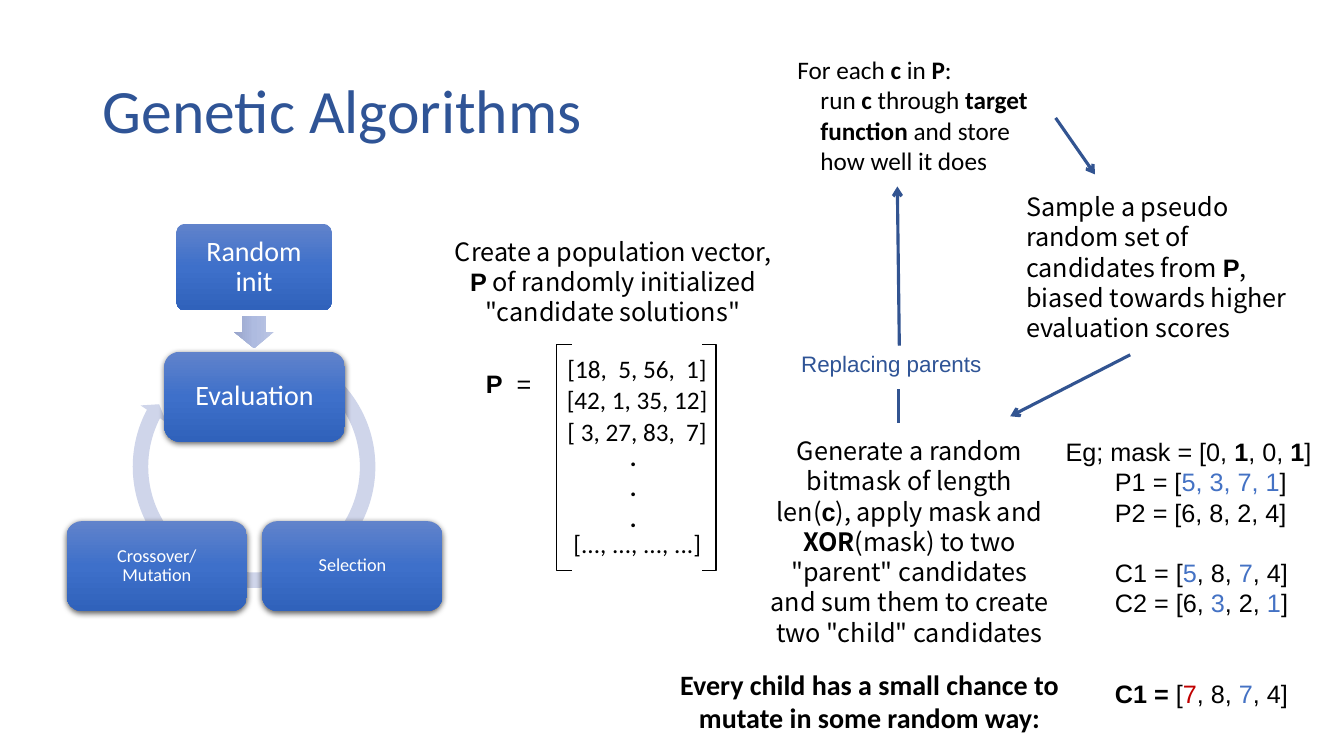
from copy import deepcopy

from lxml import etree
from pptx import Presentation
from pptx.dml.color import RGBColor
from pptx.enum.shapes import MSO_CONNECTOR, MSO_SHAPE
from pptx.enum.text import MSO_ANCHOR, PP_ALIGN
from pptx.oxml.ns import qn
from pptx.util import Inches, Pt

LEFT, CENTER = PP_ALIGN.LEFT, PP_ALIGN.CENTER
TOP, MIDDLE = MSO_ANCHOR.TOP, MSO_ANCHOR.MIDDLE
STRAIGHT = MSO_CONNECTOR.STRAIGHT
RECTANGLE, ROUNDED = MSO_SHAPE.RECTANGLE, MSO_SHAPE.ROUNDED_RECTANGLE
CIRCULAR_ARROW, RIGHT_ARROW = MSO_SHAPE.CIRCULAR_ARROW, MSO_SHAPE.RIGHT_ARROW

BLACK = RGBColor(0x00, 0x00, 0x00)
WHITE = RGBColor(0xFF, 0xFF, 0xFF)
NAVY = RGBColor(0x2F, 0x54, 0x96)
ARROW_BLUE = RGBColor(0x32, 0x54, 0x91)
PARENT_BLUE = RGBColor(0x44, 0x72, 0xC4)
MUTATION_RED = RGBColor(0xC0, 0x00, 0x00)
CYCLE_BLUE = RGBColor(0xCF, 0xD5, 0xEA)
BOX_GRADIENT = [RGBColor(0x61, 0x83, 0xCB), RGBColor(0x3E, 0x70, 0xCA), RGBColor(0x30, 0x62, 0xBB)]
INIT_GRADIENT = [RGBColor(0xBB, 0xC5, 0xE3), RGBColor(0xAE, 0xBB, 0xE0), RGBColor(0x98, 0xA4, 0xCB)]

CALIBRI, ARIAL, NOTO = "Calibri", "Arial", "Noto Sans CJK KR"
BOLD = {"bold": True}
SYMBOL = {"bold": True, "name": ARIAL}
BLUE = {"color": PARENT_BLUE}
RED = {"color": MUTATION_RED}
LINE_PITCH = Pt(21.6)
BODY = {"line_spacing": LINE_PITCH}
CENTERED = {"line_spacing": LINE_PITCH, "alignment": CENTER}

TITLE = ["Genetic Algorithms"]
POPULATION = ["Create a population vector, ", ("P", SYMBOL),
              " of randomly initialized \"candidate solutions\""]
POPULATION_SYMBOL = [("P", BOLD), "  = "]
MATRIX_ROWS = [
    (3.46, "[18,  5, 56,  1]"),
    (3.76, "[42, 1, 35, 12]"),
    (4.08, "[ 3, 27, 83,  7]"),
    (5.19, "[..., ..., ..., ...]"),
]
MATRIX_DOTS = [(0, 0, [(".", BOLD)])] * 3
EVALUATE = [
    (0, 0, ["For each ", ("c", BOLD), " in ", ("P", BOLD), ":"]),
    (0.23, 0, ["run ", ("c", BOLD), " through ", ("target", BOLD)]),
    (0.23, 0, [("function", BOLD), " and store"]),
    (0.23, 0, ["how well it does"]),
]
SAMPLE = ["Sample a pseudo random set of candidates from ", ("P", SYMBOL),
          ", biased towards higher evaluation scores"]
CROSSOVER = ["Generate a random bitmask of length len(", ("c", SYMBOL),
             "), apply mask and ", ("XOR", BOLD),
             "(mask) to two \"parent\" candidates and sum them to create two \"child\" candidates"]
MASK_EXAMPLE = [
    (0, 0, ["Eg; mask = [0, ", ("1", BOLD), ", 0, ", ("1", BOLD), "]"]),
    (0.49, 0, ["P1 = [", ("5, 3, 7, 1", BLUE), "]"]),
    (0.49, 0, ["P2 = [6, 8, 2, 4]"]),
    (0.49, 1, ["C1 = [", ("5", BLUE), ", 8, ", ("7", BLUE), ", 4]"]),
    (0.49, 0, ["C2 = [6, ", ("3", BLUE), ", 2, ", ("1", BLUE), "]"]),
    (0.49, 2, [("C1 = ", BOLD), "[", ("7", RED), ", 8, ", ("7", BLUE), ", 4]"]),
]
MUTATION = [("Every child has a small chance to mutate in some random way:", BOLD)]
REPLACING = ["Replacing parents"]

STEP_ARROWS = [
    ((8.92, 3.43), (8.9, 1.85), True),
    ((8.91, 3.86), (8.91, 4.2), False),
    ((10.47, 1.17), (10.86, 1.73), True),
    ((11.21, 3.52), (10.02, 4.13), True),
]
CYCLE_BOXES = [
    ("Random init", (1.75, 2.22, 1.54, 0.86), 0.1, 20, False),
    ("Evaluation", (1.63, 3.49, 1.79, 0.89), 0.17, 20, True),
    ("Selection", (2.6, 5.17, 1.79, 0.89), 0.17, 13, True),
    ("Crossover/Mutation", (0.66, 5.17, 1.79, 0.89), 0.17, 13, True),
]

deck = Presentation()
deck.slide_width, deck.slide_height = Inches(13.33), Inches(7.5)
slide = deck.slides.add_slide(deck.slide_layouts[6])


def write(frame, paragraphs, font, layout, anchor=TOP, margin=None):
    frame.word_wrap = True
    frame.vertical_anchor = anchor
    if margin is not None:
        for side in ("left", "right", "top", "bottom"):
            setattr(frame, f"margin_{side}", Inches(margin))
    for number, (indent, skipped_lines, runs) in enumerate(paragraphs):
        paragraph = frame.add_paragraph() if number else frame.paragraphs[0]
        for attribute, value in layout.items():
            setattr(paragraph, attribute, value)
        if indent:
            paragraph._p.get_or_add_pPr().set("marL", str(Inches(indent)))
        if skipped_lines:
            paragraph.space_before = skipped_lines * LINE_PITCH
        for piece in runs:
            words, changes = (piece, {}) if isinstance(piece, str) else piece
            run = paragraph.add_run()
            run.text = words
            for attribute, value in {**font, **changes}.items():
                if attribute == "color":
                    run.font.color.rgb = value
                else:
                    setattr(run.font, attribute, value)


def add_text(place, paragraphs, name=CALIBRI, size=18, color=BLACK, layout=CENTERED, anchor=TOP):
    if not isinstance(paragraphs[0], tuple) or len(paragraphs[0]) != 3:
        paragraphs = [(0, 0, paragraphs)]
    frame = slide.shapes.add_textbox(*map(Inches, place)).text_frame
    write(frame, paragraphs, {"name": name, "size": Pt(size), "color": color}, layout, anchor)


def add_figure(kind, place, adjustments=(), fill=None, line=None):
    figure = slide.shapes.add_shape(kind, *map(Inches, place))
    figure.shadow.inherit = False
    for number, value in enumerate(adjustments):
        figure.adjustments[number] = value
    if isinstance(fill, list):
        figure.fill.gradient()
        figure.fill.gradient_angle = 270
        stops = figure._element.spPr.find(qn("a:gradFill")).find(qn("a:gsLst"))
        stops.insert(1, deepcopy(stops[0]))
        for number, (stop, color) in enumerate(zip(figure.fill.gradient_stops, fill)):
            stop.color.rgb = color
            stop.position = number / 2
    else:
        figure.fill.solid()
        figure.fill.fore_color.rgb = fill
    if line is None:
        figure.line.fill.background()
    else:
        figure.line.color.rgb = line
        figure.line.width = Pt(1)
    return figure


def cast_shadow(figure):
    effects = figure._element.spPr.find(qn("a:effectLst"))
    shadow = etree.SubElement(effects, qn("a:outerShdw"), blurRad=str(Pt(4.5)),
                              dist=str(Pt(1.5)), dir="5400000", algn="ctr", rotWithShape="0")
    color = etree.SubElement(shadow, qn("a:srgbClr"), val=str(BLACK))
    etree.SubElement(color, qn("a:alpha"), val="63000")


add_text((0.92, 0.4, 11.5, 1.45), TITLE, size=44, color=NAVY,
         layout={"line_spacing": 0.9, "alignment": LEFT}, anchor=MIDDLE)

add_text((3.58, 3.61, 3, 0.4), POPULATION_SYMBOL, ARIAL)
add_figure(RECTANGLE, (5.52, 3.42, 1.58, 2.24), fill=WHITE, line=BLACK)
add_figure(RECTANGLE, (5.68, 3.32, 1.28, 2.55), fill=WHITE, line=WHITE)
for row_top, row in MATRIX_ROWS:
    add_text((4.82, row_top, 3, 0.4), [row])
add_text((4.78, 4.33, 3, 1.01), MATRIX_DOTS)

add_text((7.81, 0.49, 3.24, 1.31), EVALUATE, layout=BODY)
add_text((10.08, 1.85, 3, 1.62), SAMPLE, NOTO, layout=BODY)
add_text((7.52, 4.27, 3, 2.52), CROSSOVER, NOTO)
add_text((10.47, 4.28, 3, 2.83), MASK_EXAMPLE, ARIAL, layout=BODY)
add_text((4.34, 2.29, 3.48, 1.01), POPULATION, NOTO)
add_text((6.31, 6.57, 4.63, 0.77), MUTATION, size=20, layout={"alignment": CENTER})
add_text((7.34, 3.42, 3, 0.37), REPLACING, ARIAL, 16, NAVY, {"alignment": CENTER})

for start, end, pointed in STEP_ARROWS:
    step = slide.shapes.add_connector(STRAIGHT, *map(Inches, start + end))
    step.line.color.rgb = ARROW_BLUE
    step.line.width = Pt(2.25)
    if pointed:
        etree.SubElement(step.line._get_or_add_ln(), qn("a:tailEnd"), type="arrow")
    etree.SubElement(step._element.spPr, qn("a:effectLst"))

add_figure(CIRCULAR_ARROW, (1.24, 3.35, 2.56, 2.56),
           (0.06, 3.4, 124.6, 182.43, 0.06), CYCLE_BLUE)
for label, place, corner, size, shadowed in CYCLE_BOXES:
    box = add_figure(ROUNDED, place, [corner], BOX_GRADIENT)
    write(box.text_frame, [(0, 0, [label])],
          {"name": CALIBRI, "size": Pt(size), "color": WHITE},
          {"alignment": CENTER, "line_spacing": 0.9}, MIDDLE, 0.12)
    if shadowed:
        cast_shadow(box)
init_arrow = add_figure(RIGHT_ARROW, (2.36, 3.1, 0.32, 0.39), (0.6, 0.5), INIT_GRADIENT)
init_arrow.rotation = 90

deck.save("out.pptx")
